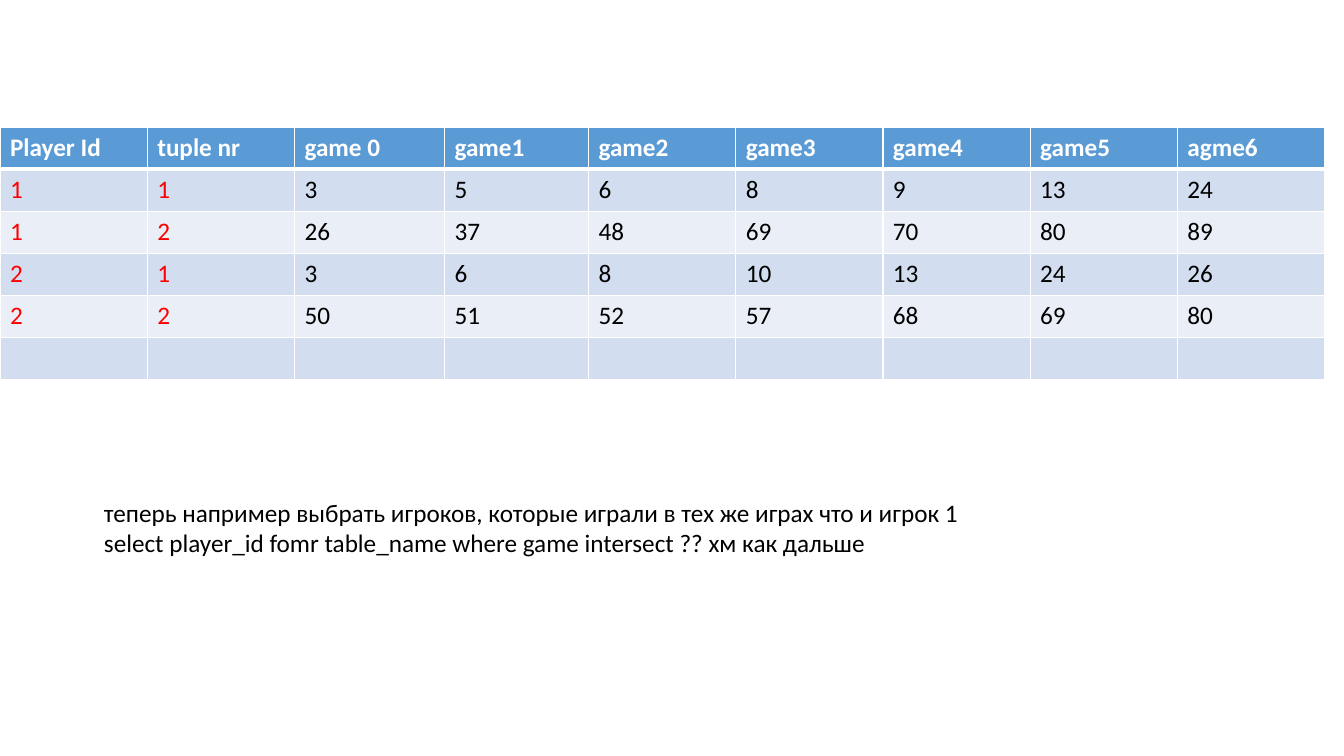
from lxml import etree
from pptx import Presentation
from pptx.dml.color import RGBColor
from pptx.enum.text import MSO_AUTO_SIZE
from pptx.oxml.ns import qn
from pptx.util import Cm, Pt

AUTO_GROW = MSO_AUTO_SIZE.SHAPE_TO_FIT_TEXT

# Content
HEADER = ["Player Id", "tuple nr", "game 0", "game1", "game2",
          "game3", "game4", "game5", "agme6"]
ROWS = [
    [1, 1, 3, 5, 6, 8, 9, 13, 24],
    [1, 2, 26, 37, 48, 69, 70, 80, 89],
    [2, 1, 3, 6, 8, 10, 13, 24, 26],
    [2, 2, 50, 51, 52, 57, 68, 69, 80],
    [""] * len(HEADER),
]
QUESTION = [
    "теперь например выбрать игроков, которые играли в тех же играх что и игрок 1 ",
    "select player_id fomr table_name where game intersect ?? хм как дальше",
]

# Style
FONT, SIZE = "Calibri", Pt(18)
WHITE = RGBColor(0xFF, 0xFF, 0xFF)
BLACK = RGBColor(0, 0, 0)
RED = RGBColor(0xFF, 0, 0)
BLUE = RGBColor(0x5B, 0x9B, 0xD5)
BANDS = [RGBColor(0xD2, 0xDE, 0xEF), RGBColor(0xEA, 0xEF, 0xF7)]
KEY_COLS = 2
COL_W = [Cm(3.71)] * len(HEADER)
COL_W[2], COL_W[3] = Cm(3.78), Cm(3.63)
ROW_H = Cm(1.06)


def add_run(p, text, color, bold=False):
    r = p.add_run()
    r.text = text
    r.font.name, r.font.size, r.font.bold = FONT, SIZE, bold
    r.font.color.rgb = color


def set_borders(cell, top, bottom):
    tcPr = cell._tc.get_or_add_tcPr()
    for tag, width in (("a:lnL", 1), ("a:lnR", 1), ("a:lnT", top), ("a:lnB", bottom)):
        ln = etree.SubElement(tcPr, qn(tag), w=str(Pt(width)))
        fill = etree.SubElement(ln, qn("a:solidFill"))
        etree.SubElement(fill, qn("a:srgbClr"), val=str(WHITE))


prs = Presentation()
prs.slide_width, prs.slide_height = Cm(33.87), Cm(19.05)
s = prs.slides.add_slide(prs.slide_layouts[6])

# Table of games per player
grid = [HEADER] + ROWS
table = s.shapes.add_table(len(grid), len(HEADER), Cm(0), Cm(3.2),
                           sum(COL_W), ROW_H * len(grid)).table
for col, width in zip(table.columns, COL_W):
    col.width = width
for i, values in enumerate(grid):
    table.rows[i].height = ROW_H
    is_header = i == 0
    for j, value in enumerate(values):
        cell = table.cell(i, j)
        set_borders(cell, 3 if i == 1 else 1, 3 if is_header else 1)
        cell.fill.solid()
        cell.fill.fore_color.rgb = BLUE if is_header else BANDS[(i - 1) % 2]
        p = cell.text_frame.paragraphs[0]
        p.font.size = SIZE
        if value != "":
            color = WHITE if is_header else RED if j < KEY_COLS else BLACK
            add_run(p, str(value), color, is_header)

# Question below the table
tf = s.shapes.add_textbox(Cm(2.37), Cm(12.4), Cm(25.45), Cm(1.8)).text_frame
tf.word_wrap = True
tf.auto_size = AUTO_GROW
p = tf.paragraphs[0]
for n, line in enumerate(QUESTION):
    if n:
        p.add_line_break()
    add_run(p, line, BLACK)

prs.save("out.pptx")
